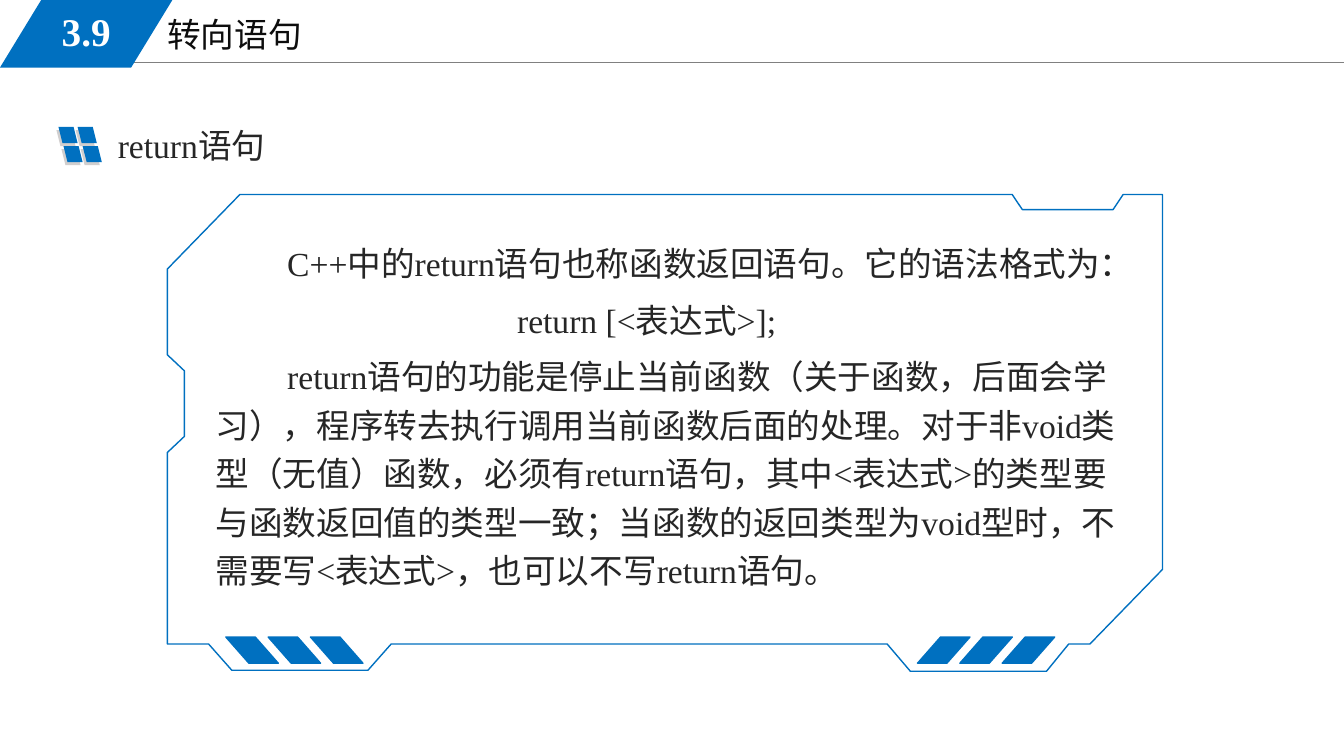
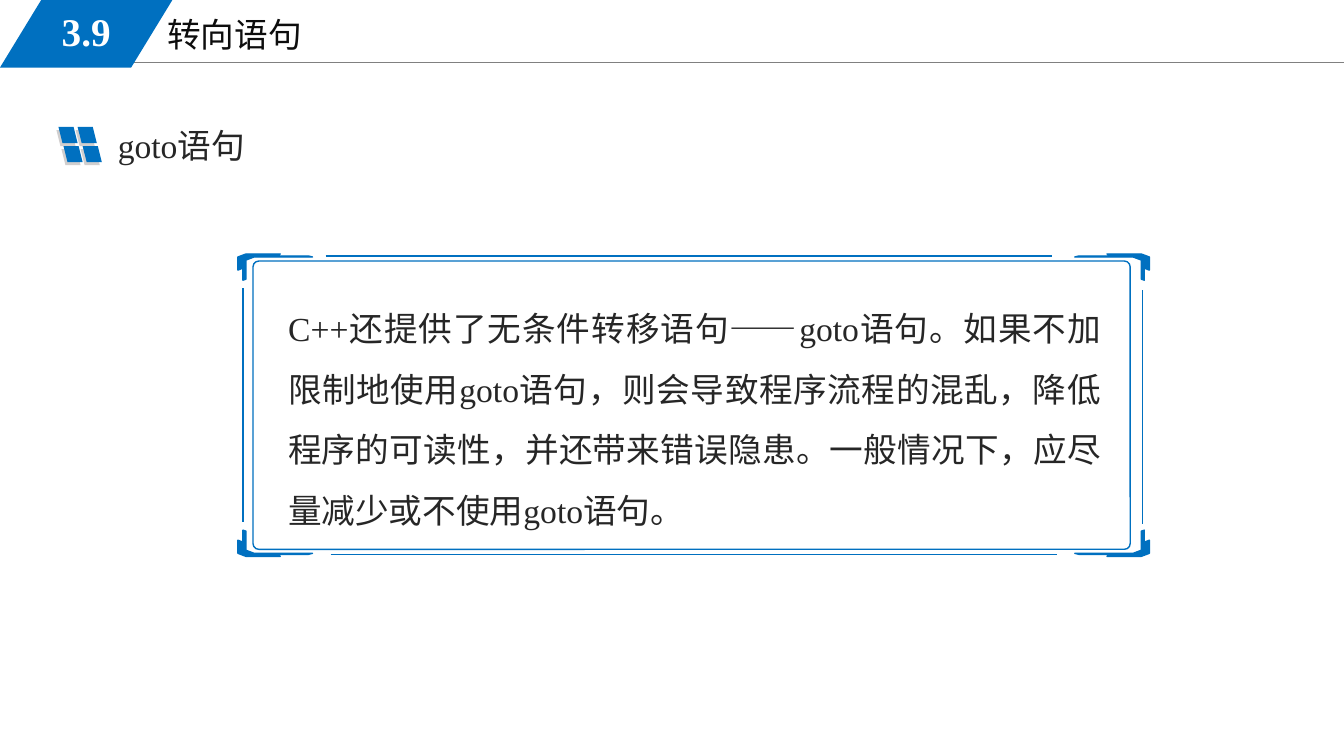
from pptx import Presentation
from pptx.dml.color import RGBColor
from pptx.enum import shapes, text
from pptx.oxml import ns
from pptx.oxml.xmlchemy import OxmlElement
from pptx.util import Inches, Pt

BLUE, GREY, SHADE = "0070C0", "808080", "D0CECE"
INK, TITLE_INK, WHITE = "262626", "0D0D0D", "FFFFFF"
FONT = "Times New Roman"
PRESET = shapes.MSO_SHAPE
ALIGN = text.PP_ALIGN
ANCHOR = text.MSO_ANCHOR

PANEL = (1.66, 1.93, 9.87, 4.73)
FRAME = (2.36, 2.52, 9.04, 3)
BRACKET = [(0.08, 0), (0.42, 0), (0.38, 0.02), (0.7, 0.02), (0.74, 0.03), (0.16, 0.03),
           (0.08, 0.06), (0.08, 0.25), (0.05, 0.26), (0.05, 0.14), (0, 0.16), (0, 0.03)]
OUTLINE = [(7.37, 4.73), (8.72, 4.73), (8.94, 4.46), (9.15, 4.46), (9.87, 3.72), (9.87, 0),
           (9.48, 0), (9.38, 0.15), (8.48, 0.15), (8.38, 0), (0.72, 0), (0, 0.74),
           (0, 1.59), (0.17, 1.75), (0.17, 2.4), (0, 2.56), (0, 4.46), (0.41, 4.46),
           (0.64, 4.72), (1.99, 4.72), (2.22, 4.46), (7.14, 4.46)]


def rgb(value):
    """Turn a hex string into a colour."""
    return RGBColor.from_string(value)


def paint(sp, fill=None, line=None):
    """Set the fill and outline of a shape and remove its shadow."""
    sp.shadow.inherit = False
    if fill:
        sp.fill.solid()
        sp.fill.fore_color.rgb = rgb(fill)
    else:
        sp.fill.background()
    if line:
        sp.line.color.rgb = rgb(line)
        sp.line.width = Pt(1)
    else:
        sp.line.fill.background()
    return sp


def add_preset(parent, kind, box, fill=None, line=None, adj=None, mirror=False):
    """Add a preset shape, mirrored left to right on demand."""
    sp = paint(parent.add_shape(kind, *map(Inches, box)), fill, line)
    if adj is not None:
        sp.adjustments[0] = adj
    if mirror:
        sp._element.spPr.find(ns.qn("a:xfrm")).set("flipH", "1")
    return sp


def add_outline(parent, points, fill=None, line=None):
    """Add a closed polygon through points in inches."""
    start, *rest = [(Inches(x), Inches(y)) for x, y in points]
    builder = parent.build_freeform(*start)
    builder.add_line_segments(rest, close=True)
    return paint(builder.convert_to_shape(), fill, line)


def add_line(parent, x1, y1, x2, y2, color, width=1):
    """Add a straight line without a shadow."""
    ln = parent.add_connector(shapes.MSO_CONNECTOR.STRAIGHT, *map(Inches, (x1, y1, x2, y2)))
    ln.line.color.rgb = rgb(color)
    ln.line.width = Pt(width)
    ln._element.spPr.append(OxmlElement("a:effectLst"))


def write(p, content, size=24, color=INK, bold=False, align=ALIGN.LEFT,
          spacing=1, gap=0, left=0, indent=0):
    """Write one formatted paragraph."""
    pPr = p._p.get_or_add_pPr()
    pPr.set("marL", str(Inches(left)))
    pPr.set("indent", str(Inches(indent)))
    p.alignment = align
    p.line_spacing = spacing
    p.space_before = p.space_after = Pt(gap)
    r = p.add_run()
    r.text = content
    r.font.name = FONT
    r.font.size = Pt(size)
    r.font.bold = bold
    r.font.color.rgb = rgb(color)


def set_frame(sp, anchor=ANCHOR.TOP):
    """Prepare a text frame and return it."""
    tf = sp.text_frame
    tf.word_wrap = True
    tf.auto_size = text.MSO_AUTO_SIZE.NONE
    tf.vertical_anchor = anchor
    return tf


def add_text(s, box, *items, anchor=ANCHOR.TOP, **style):
    """Add a text box with one paragraph for each (text, format) item."""
    tf = set_frame(s.shapes.add_textbox(*map(Inches, box)), anchor)
    for i, (content, extra) in enumerate(items):
        p = tf.add_paragraph() if i else tf.paragraphs[0]
        write(p, content, **{**style, **extra})


def add_header(s, number, title):
    """Draw the section band and place the title."""
    add_line(s.shapes, 1.13, 0.62, 13.33, 0.62, GREY, 0.75)
    sp = s.shapes.title
    sp.left, sp.top, sp.width, sp.height = map(Inches, (1.56, 0.09, 5.67, 0.51))
    write(set_frame(sp).paragraphs[0], title, color=TITLE_INK)
    add_preset(s.shapes, PRESET.PARALLELOGRAM, (0, 0, 1.71, 0.67), BLUE, adj=0.61)
    add_text(s, (0.25, 0.02, 1.21, 0.58), (number, {}), anchor=ANCHOR.MIDDLE,
             size=28, color=WHITE, bold=True, align=ALIGN.CENTER)


def add_heading(s, x, y, content):
    """Draw the four-tile icon and its heading."""
    tiles = s.shapes.add_group_shape().shapes
    for dx, dy, color in ((-0.02, 0.03, SHADE), (0, 0, BLUE)):
        for row in range(2):
            for col in range(2):
                box = (x + dx + 0.05 * row + 0.19 * col, y + dy + 0.19 * row, 0.19, 0.16)
                add_preset(tiles, PRESET.PARALLELOGRAM, box, color, mirror=True)
    add_text(s, (x + 0.49, y - 0.07, 5.99, 0.5), (content, {}))


def add_panel(s, box, *items):
    """Draw the notched panel with its stripes and text."""
    x, y, w, h = box
    parts = s.shapes.add_group_shape().shapes
    add_outline(parts, [(x + px, y + py) for px, py in OUTLINE], line=BLUE)
    for start, mirror in ((0.58, True), (7.44, False)):
        for i in range(3):
            stripe = (x + start + 0.42 * i, y + 4.39, 0.52, 0.26)
            add_preset(parts, PRESET.PARALLELOGRAM, stripe, BLUE, BLUE, 0.88, mirror)
    add_text(s, (x + 0.38, y + 0.35, w - 0.69, h - 0.66), *items, spacing=1.2)


def add_bracket_frame(s, box, content):
    """Draw the rounded frame with corner brackets and its text."""
    x, y, w, h = box
    add_text(s, (x + 0.4, y + 0.29, w - 0.78, h - 0.55), (content, {}),
             align=ALIGN.JUSTIFY, spacing=1.5)
    parts = s.shapes.add_group_shape().shapes
    add_preset(parts, PRESET.ROUNDED_RECTANGLE, (x + 0.15, y + 0.07, w - 0.34, h - 0.14),
               line=BLUE, adj=0.02)
    for cx, sx in ((x, 1), (x + w, -1)):
        for cy, sy in ((y, 1), (y + h, -1)):
            add_outline(parts, [(cx + sx * px, cy + sy * py) for px, py in BRACKET], BLUE, BLUE)
    for start, ly in ((0.87, y + 0.02), (0.92, y + h - 0.02)):
        add_line(parts, x + start, ly, x + start + 7.2, ly, BLUE)
    for start, lx in ((0.34, x + 0.05), (0.36, x + w - 0.07)):
        add_line(parts, lx, y + start, lx, y + start + 2.32, BLUE)


def add_topic_slide(prs, heading):
    """Add a slide with the shared header and a heading."""
    s = prs.slides.add_slide(prs.slide_layouts[5])
    add_header(s, "3.9", "转向语句")
    add_heading(s, 0.58, 1.26, heading)
    return s


def main():
    """Build and save the presentation."""
    prs = Presentation()
    prs.slide_width, prs.slide_height = Inches(13.33), Inches(7.5)

    s = add_topic_slide(prs, "return语句")
    add_panel(
        s, PANEL,
        ("C++中的return语句也称函数返回语句。它的语法格式为：", {"indent": 0.71}),
        ("return [<表达式>];", {"left": 2.99, "gap": 6}),
        ("return语句的功能是停止当前函数（关于函数，后面会学习），程序转去执行调用当前函数后面的处理。"
         "对于非void类型（无值）函数，必须有return语句，其中<表达式>的类型要与函数返回值的类型一致；"
         "当函数的返回类型为void型时，不需要写<表达式>，也可以不写return语句。", {"indent": 0.71}))

    s = add_topic_slide(prs, "goto语句")
    add_bracket_frame(
        s, FRAME,
        "C++还提供了无条件转移语句——goto语句。如果不加限制地使用goto语句，则会导致程序流程的混乱，"
        "降低程序的可读性，并还带来错误隐患。一般情况下，应尽量减少或不使用goto语句。")

    prs.save("out.pptx")


if __name__ == "__main__":
    main()
